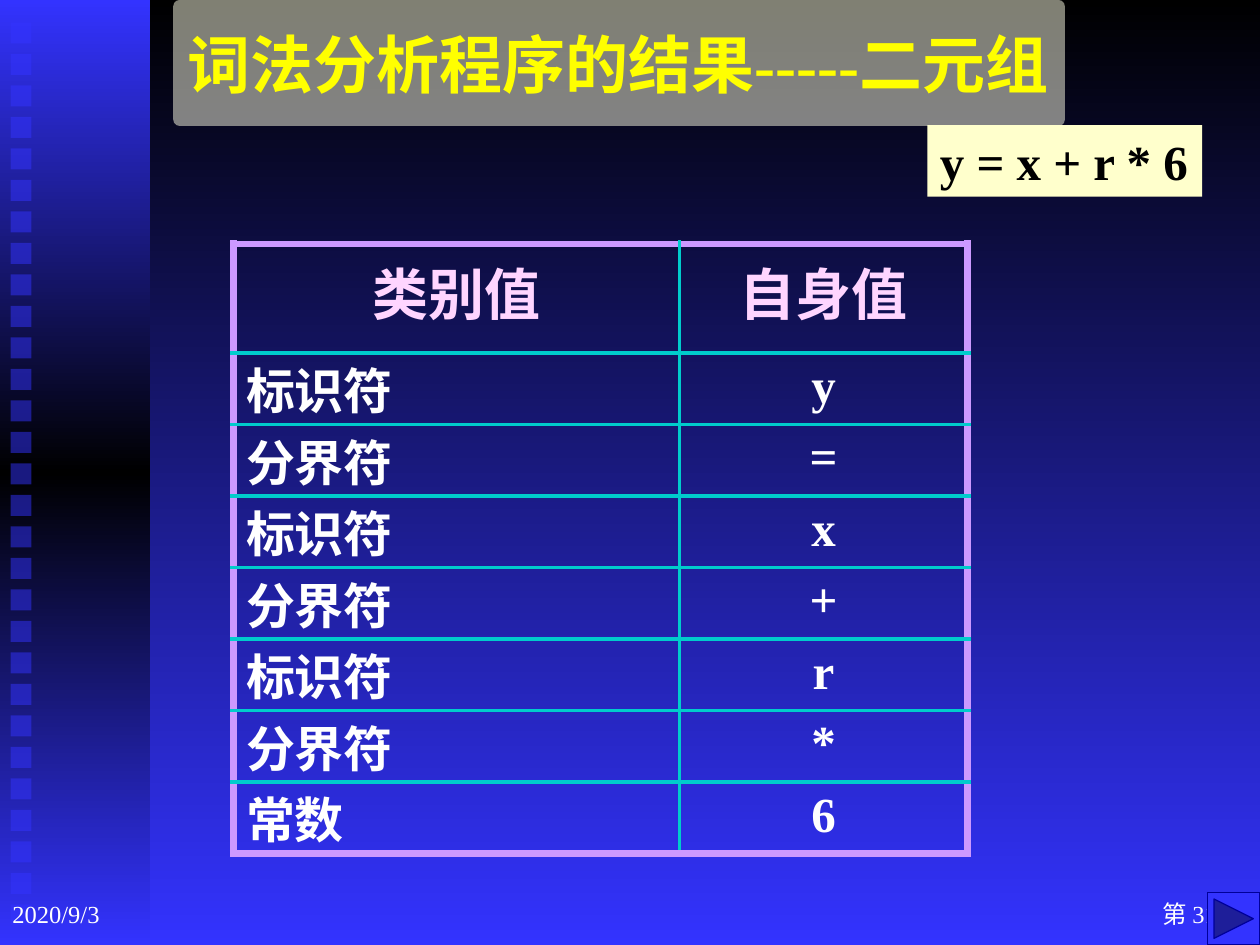
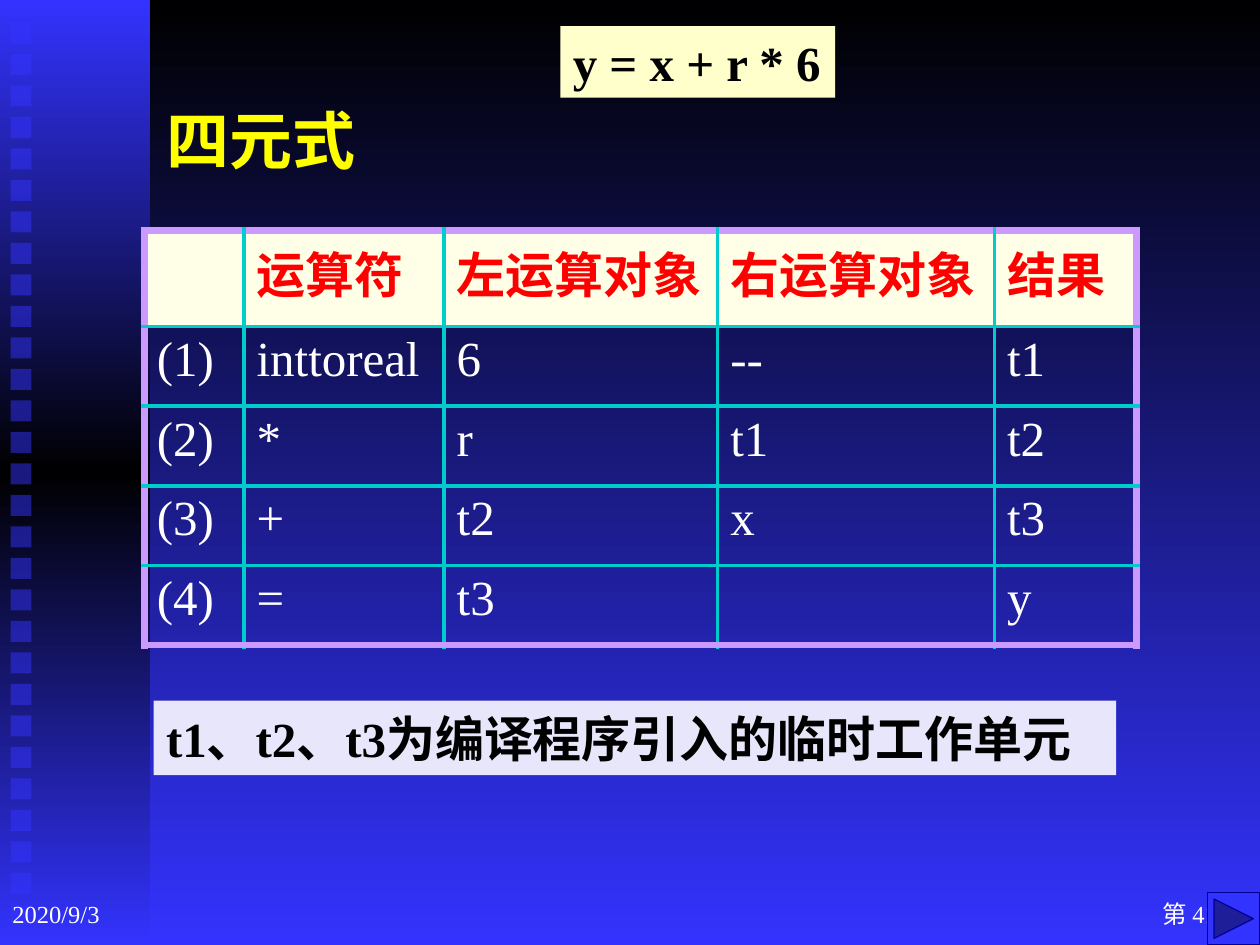
from dataclasses import dataclass

import lxml.etree
import pptx
import pptx.dml.color
import pptx.enum.shapes
import pptx.enum.text
import pptx.oxml.ns
import pptx.util

Pt = pptx.util.Pt
qn = pptx.oxml.ns.qn
SHAPE = pptx.enum.shapes.MSO_SHAPE
ALIGN = pptx.enum.text.PP_ALIGN
ANCHOR = pptx.enum.text.MSO_ANCHOR

LATIN_FONT, ASIAN_FONT = "Times New Roman", "Noto Sans CJK SC"
BLACK, WHITE, BLUE, NAVY = "000000", "FFFFFF", "3333FF", "000099"
YELLOW, RED, PINK = "FFFF00", "FF0000", "FFD5FF"
IVORY, CREAM, LAVENDER = "FFFFE7", "FFFFCC", "E7E6FA"
FRAME, GRID = ("CC99FF", 4.5), ("00CCCC", 2.25)
WIDTH, HEIGHT = 720, 540


@dataclass(frozen=True)
class Box:
    """Left, top, width and height in points."""
    left: float
    top: float
    width: float
    height: float

    def lengths(self) -> list:
        return [Pt(v) for v in (self.left, self.top, self.width, self.height)]


@dataclass(frozen=True)
class CellStyle:
    color: str
    size: float = 28
    bold: bool = False
    align: ALIGN = ALIGN.LEFT
    font: str = LATIN_FONT
    fill: str | None = None
    margin: float = 3.6


@dataclass(frozen=True)
class TableSpec:
    left: float
    top: float
    columns: list[float]
    header_height: float
    row_height: float
    rows: list[list[str]]
    header_style: CellStyle
    body_styles: list[CellStyle]


def rgb(color: str) -> pptx.dml.color.RGBColor:
    return pptx.dml.color.RGBColor.from_string(color)


def set_gradient(fill, element, colors: list[str]) -> None:
    """Vertical gradient with evenly spaced stops."""
    fill.gradient()
    fill.gradient_angle = 270
    stops = element.find(".//" + qn("a:gsLst"))
    for stop in list(stops):
        stops.remove(stop)
    for index, color in enumerate(colors):
        position = 100000 * index // (len(colors) - 1)
        stop = lxml.etree.SubElement(stops, qn("a:gs"), pos=str(position))
        lxml.etree.SubElement(stop, qn("a:srgbClr"), val=color)


def add_box(slide, box: Box, fill: str | None = None, kind=SHAPE.RECTANGLE,
            opacity: int = 100, line: str | None = None):
    shape = slide.shapes.add_shape(kind, *box.lengths())
    shape.shadow.inherit = False
    if fill:
        shape.fill.solid()
        shape.fill.fore_color.rgb = rgb(fill)
        if opacity < 100:
            color = shape.element.spPr.find(qn("a:solidFill"))[0]
            lxml.etree.SubElement(color, qn("a:alpha"), val=str(opacity * 1000))
    if line:
        shape.line.color.rgb = rgb(line)
        shape.line.width = Pt(0.75)
    else:
        shape.line.fill.background()
    return shape


def write_text(frame, text: str, *, size: float, color: str, bold: bool = False,
               align=ALIGN.LEFT, font: str = LATIN_FONT) -> None:
    paragraph = frame.paragraphs[0]
    paragraph.alignment = align
    run = paragraph.add_run()
    run.text = text
    run.font.size = Pt(size)
    run.font.bold = bold
    run.font.name = font
    run.font.color.rgb = rgb(color)
    asian = lxml.etree.Element(qn("a:ea"), typeface=ASIAN_FONT)
    run.font._element.find(qn("a:latin")).addnext(asian)


def set_frame(shape, anchor=ANCHOR.MIDDLE, wrap: bool = False):
    frame = shape.text_frame
    frame.word_wrap = wrap
    frame.vertical_anchor = anchor
    return frame


def add_label(slide, box: Box, text: str, **text_format) -> None:
    textbox = slide.shapes.add_textbox(*box.lengths())
    write_text(set_frame(textbox), text, **text_format)


def set_borders(cell, edges: dict) -> None:
    properties = cell._tc.get_or_add_tcPr()
    for index, (side, (color, width)) in enumerate(edges.items()):
        line = lxml.etree.Element(qn("a:ln" + side), w=str(Pt(width)))
        fill = lxml.etree.SubElement(line, qn("a:solidFill"))
        lxml.etree.SubElement(fill, qn("a:srgbClr"), val=color)
        properties.insert(index, line)


def fill_cell(cell, text: str, style: CellStyle) -> None:
    cell.margin_top = cell.margin_bottom = Pt(style.margin)
    if style.fill:
        cell.fill.solid()
        cell.fill.fore_color.rgb = rgb(style.fill)
    else:
        cell.fill.background()
    if text:
        write_text(cell.text_frame, text, size=style.size, color=style.color,
                   bold=style.bold, align=style.align, font=style.font)


def add_table(slide, spec: TableSpec) -> None:
    last_row, last_column = len(spec.rows) - 1, len(spec.columns) - 1
    box = Box(spec.left, spec.top, sum(spec.columns),
              spec.header_height + last_row * spec.row_height)
    table = slide.shapes.add_table(last_row + 1, last_column + 1,
                                   *box.lengths()).table
    table.first_row = table.horz_banding = False
    for column, width in zip(table.columns, spec.columns):
        column.width = Pt(width)
    for r, texts in enumerate(spec.rows):
        table.rows[r].height = Pt(spec.row_height if r else spec.header_height)
        for c, text in enumerate(texts):
            cell = table.cell(r, c)
            fill_cell(cell, text, spec.body_styles[c] if r else spec.header_style)
            set_borders(cell, {
                "L": GRID if c else FRAME,
                "R": FRAME if c == last_column else GRID,
                "T": GRID if r else FRAME,
                "B": FRAME if r == last_row else GRID,
            })


def add_base_slide(presentation, number: int):
    """Blank slide with the shared background, side band and footers."""
    slide = presentation.slides.add_slide(presentation.slide_layouts[6])
    set_gradient(slide.background.fill, slide.element, [BLACK, BLUE])
    band = add_box(slide, Box(0, 0, 85.7, HEIGHT))
    set_gradient(band.fill, band.element, [BLUE, BLACK, BLUE])
    for index in range(29):
        add_box(slide, Box(6, 12.8 + 18 * index, 12, 12), BLUE, opacity=50)
    add_label(slide, Box(0, 504, 150, 36), "2020/9/3", size=14, color=WHITE)
    add_label(slide, Box(570, 504, 150, 36), f"第 {number} 页", size=14,
              color=WHITE, align=ALIGN.RIGHT)
    return slide


def add_expression(slide, left: float, top: float) -> None:
    shape = add_box(slide, Box(left, top, 157, 41), CREAM)
    write_text(set_frame(shape, ANCHOR.BOTTOM), "y = x + r * 6",
               size=28, color=BLACK, bold=True)


def add_next_button(slide) -> None:
    add_box(slide, Box(WIDTH - 30, HEIGHT - 30, 30, 30), BLUE,
            SHAPE.ACTION_BUTTON_FORWARD_OR_NEXT, line=NAVY)


def build_pairs_slide(presentation) -> None:
    slide = add_base_slide(presentation, 31)
    title = add_box(slide, Box(99, 0, 509.5, 72), IVORY,
                    SHAPE.ROUNDED_RECTANGLE, opacity=50)
    title.adjustments[0] = 0.05
    write_text(set_frame(title), "词法分析程序的结果-----二元组",
               size=36, color=YELLOW, bold=True)
    add_expression(slide, 530, 71.5)
    rows = [["类别值", "自身值"], ["标识符", "y"], ["分界符", "="],
            ["标识符", "x"], ["分界符", "+"], ["标识符", "r"],
            ["分界符", "*"], ["常数", "6"]]
    add_table(slide, TableSpec(
        left=133.4, top=139.4, columns=[255, 164.5],
        header_height=62.4, row_height=40.8, rows=rows,
        header_style=CellStyle(PINK, size=32, bold=True, align=ALIGN.CENTER),
        body_styles=[CellStyle(WHITE, bold=True, margin=0),
                     CellStyle(WHITE, bold=True, align=ALIGN.CENTER)]))
    add_next_button(slide)


def build_quadruples_slide(presentation) -> None:
    slide = add_base_slide(presentation, 41)
    add_label(slide, Box(88, 54.7, 181, 50.4), "四元式",
              size=36, color=YELLOW, bold=True)
    note = add_box(slide, Box(87.8, 400.3, 550, 42.6), LAVENDER)
    write_text(set_frame(note), "t1、t2、t3为编译程序引入的临时工作单元",
               size=28, color=BLACK, bold=True)
    rows = [["", "运算符", "左运算对象", "右运算对象", "结果"],
            ["(1)", "inttoreal", "6", "--", "t1"],
            ["(2)", "*", "r", "t1", "t2"],
            ["(3)", "+", "t2", "x", "t3"],
            ["(4)", "=", "t3", "", "y"]]
    add_table(slide, TableSpec(
        left=82.5, top=131.6, columns=[57, 114.3, 156.4, 158.2, 81.3],
        header_height=55, row_height=45.5, rows=rows,
        header_style=CellStyle(RED, bold=True, font=ASIAN_FONT, fill=IVORY),
        body_styles=[CellStyle(WHITE)] * 5))
    add_expression(slide, 320.2, 14.9)
    add_next_button(slide)


def main() -> None:
    presentation = pptx.Presentation()
    presentation.slide_width, presentation.slide_height = Pt(WIDTH), Pt(HEIGHT)
    build_pairs_slide(presentation)
    build_quadruples_slide(presentation)
    presentation.save("out.pptx")


if __name__ == "__main__":
    main()
